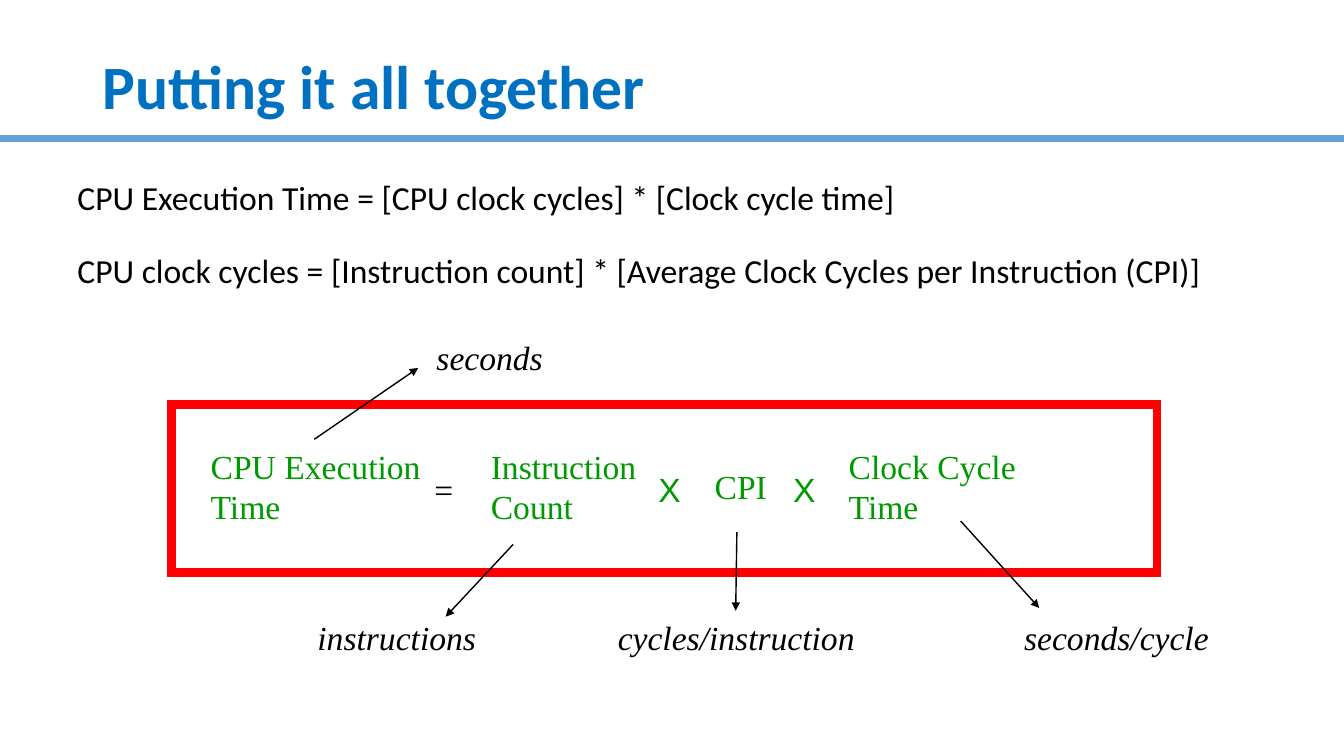
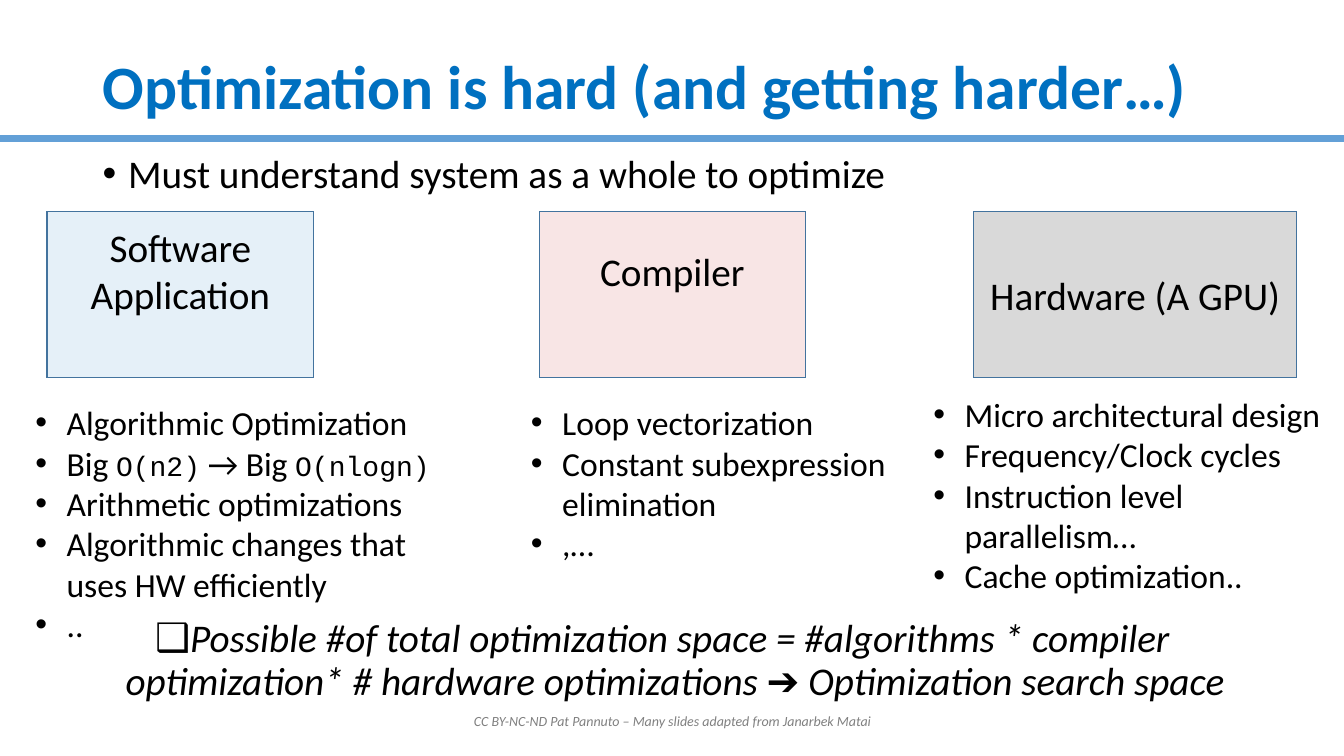
from lxml import etree as et
from pptx import Presentation, util as u
from pptx.dml import color
from pptx.enum import shapes, text
from pptx.oxml import ns

# Shared look
WIDE, HIGH = 33.87, 19.05
HUES = {
    "title": "0070C0", "band": "63A0D7", "ink": "000000", "term": "009900",
    "frame": "FF0000", "edge": "43739E", "note": "808080",
    "soft": "0070C0", "comp": "C00000", "hard": "D9D9D9",
}
FONTS = {
    "title": {"name": "Calibri", "size": u.Pt(44), "bold": True},
    "body": {"name": "Calibri", "size": u.Pt(24)},
    "big": {"name": "Calibri", "size": u.Pt(28)},
    "sum": {"name": "Calibri", "size": u.Pt(28), "italic": True},
    "code": {"name": "Courier New", "size": u.Pt(20)},
    "term": {"name": "Times New Roman", "size": u.Pt(24)},
    "unit": {"name": "Times New Roman", "size": u.Pt(24), "italic": True},
    "times": {"name": "Arial", "size": u.Pt(24)},
    "note": {"name": "Calibri", "size": u.Pt(10), "italic": True},
}
MID = {"alignment": text.PP_ALIGN.CENTER}
TIGHT = {"line_spacing": 0.9}
LEAD = {**TIGHT, "space_before": u.Pt(10)}
PADS = {"margin_left": u.Cm(0.33), "margin_right": u.Cm(0.33),
        "margin_top": u.Cm(0.16), "margin_bottom": u.Cm(0.16)}
CENTRE = {"vertical_anchor": text.MSO_ANCHOR.MIDDLE}


def apply(item, form):
    for key, val in form.items():
        setattr(item, key, val)


def hue(name):
    return color.RGBColor.from_string(HUES[name])


def node(home, tag, **attrs):
    return et.SubElement(home, ns.qn(tag), attrs)


# Text
def bullet(para, mark, hang):
    props = para._p.get_or_add_pPr()
    props.set("marL", str(u.Cm(hang)))
    props.set("indent", str(-u.Cm(hang)))
    node(props, "a:buFont", typeface="Arial")
    node(props, "a:buChar", char=mark)


def write(frame, lines, font, ink="ink", form=None, mark=None, hang=0.64):
    """A line is a string, or a list of (words, font) runs."""
    frame.word_wrap = True
    for num, line in enumerate(lines):
        para = frame.add_paragraph() if num else frame.paragraphs[0]
        apply(para, form or {})
        if mark:
            bullet(para, mark, hang)
        for words, kind in [(line, font)] if isinstance(line, str) else line:
            run = para.add_run()
            run.text = words
            apply(run.font, FONTS[kind])
            run.font.color.rgb = hue(ink)


def label(slide, box, lines, font, pads=None, **opts):
    frame = slide.shapes.add_textbox(*map(u.Cm, box)).text_frame
    apply(frame, pads or {})
    write(frame, lines, font, **opts)


# Shapes and lines
def block(slide, box, edge, width, fill=None, alpha=None):
    shape = slide.shapes.add_shape(shapes.MSO_SHAPE.RECTANGLE, *map(u.Cm, box))
    shape.shadow.inherit = False
    shape.line.color.rgb = hue(edge)
    shape.line.width = u.Pt(width)
    props = shape.element.spPr
    node(props.find(ns.qn("a:ln")), "a:miter", lim="800000")
    if fill:
        shape.fill.solid()
        shape.fill.fore_color.rgb = hue(fill)
    else:
        shape.fill.background()
    if alpha:
        tint = props.find(ns.qn("a:solidFill"))[0]
        node(tint, "a:alpha", val=str(alpha * 1000))
    return shape


def rule(slide, ends, ink="ink", width=1, arrow=True):
    line = slide.shapes.add_connector(shapes.MSO_CONNECTOR.STRAIGHT,
                                      *map(u.Cm, ends))
    line.line.color.rgb = hue(ink)
    line.line.width = u.Pt(width)
    props = line.element.spPr
    if arrow:
        node(props.find(ns.qn("a:ln")), "a:tailEnd", type="triangle")
    node(props, "a:effectLst")


def page(deck, title):
    slide = deck.slides.add_slide(deck.slide_layouts[6])
    rule(slide, (WIDE, 3.49, 0, 3.49), "band", 5, arrow=False)
    label(slide, (2.34, 1.02, 29.2, 2.49), [title], "title", CENTRE,
          ink="title", form=TIGHT)
    return slide


# Slide 1
def formula(deck):
    slide = page(deck, "Putting it all together")
    label(slide, (1.7, 4.45, 30.48, 4),
          ["CPU Execution Time = [CPU clock cycles] * [Clock cycle time]",
           "CPU clock cycles = [Instruction count] * "
           "[Average Clock Cycles per Instruction (CPI)]"],
          "body", form={**TIGHT, "space_after": u.Pt(26)})

    # Terms and signs: left, top, width, height
    parts = [
        ("CPU Execution Time", 4.98, 11.07, 5.97, 2.39, "term", "term"),
        ("Instruction Count", 12.04, 11.07, 4.5, 2.39, "term", "term"),
        ("CPI", 17.68, 11.58, 2.2, 1.35, "term", "term"),
        ("Clock Cycle Time", 21.06, 11.07, 5.97, 2.39, "term", "term"),
        ("=", 10.62, 11.66, 1.4, 1.35, "term", "ink"),
        ("X", 16.26, 11.66, 1.4, 1.35, "times", "term"),
        ("X", 19.66, 11.66, 1.4, 1.35, "times", "term"),
    ]
    for words, *box, font, ink in parts:
        label(slide, box, [words], font, PADS, ink=ink)
    block(slide, (4.32, 10.19, 24.84, 4.24), "frame", 6)

    # Units, each with its arrow
    units = [
        ("seconds", 10.67, 8.33, (7.92, 11.07, 10.54, 9.27)),
        ("instructions", 7.67, 15.39, (12.93, 13.72, 11.23, 15.54)),
        ("cycles/instruction", 15.24, 15.39, (18.57, 13.41, 18.54, 15.39)),
        ("seconds/cycle", 25.48, 15.39, (24.21, 13.13, 26.19, 15.32)),
    ]
    for words, left, top, ends in units:
        rule(slide, ends)
        label(slide, (left, top, 7, 1.35), [words], "unit", PADS)


# Slide 2
def layers(deck):
    slide = page(deck, "Optimization is hard (and getting harder…)")
    label(slide, (2.34, 3.76, 29.2, 1.5),
          ["Must understand system as a whole to optimize"],
          "big", form=LEAD, mark="•")

    # Name, left, width, fill, alpha, bottom inset, list box, list
    stack = [
        ("Software Application", 1.19, 6.71, "soft", 10, 1.33,
         (0.64, 10.01, 10.67, 6.4),
         ["Algorithmic Optimization",
          [("Big ", "body"), ("O(n2)", "code"),
           (" → Big ", "body"), ("O(nlogn)", "code")],
          "Arithmetic optimizations",
          "Algorithmic changes that uses HW efficiently", ".."]),
        ("Compiler", 13.59, 6.71, "comp", 10, 1.33,
         (13.13, 10.01, 10.13, 5.13),
         ["Loop vectorization", "Constant subexpression elimination", ",…"]),
        ("Hardware (A GPU)", 24.54, 8.13, "hard", None, 0.13,
         (23.27, 9.8, 10.6, 5.38),
         ["Micro architectural design", "Frequency/Clock cycles",
          "Instruction level parallelism…", "Cache optimization.."]),
    ]
    for name, left, width, fill, alpha, foot, box, lines in stack:
        shape = block(slide, (left, 5.33, width, 4.19), "edge", 1, fill, alpha)
        apply(shape.text_frame, {**CENTRE, "margin_bottom": u.Cm(foot)})
        write(shape.text_frame, [name], "big", form=MID)
        label(slide, box, lines, "body", mark="•", hang=0.79)

    # Summary, kept clear of the first list, and footer
    label(slide, (1.94, 15.47, 29.5, 2.9),
          ["Possible #of total optimization space = #algorithms * compiler "
           "optimization* # hardware optimizations ➔ "
           "Optimization search space"],
          "sum", form={**LEAD, **MID}, mark="❑")
    label(slide, (11.23, 17.65, 11.43, 1.02),
          ["CC BY-NC-ND Pat Pannuto – Many slides adapted from Janarbek Matai"],
          "note", CENTRE, ink="note", form=MID)


def main():
    deck = Presentation()
    deck.slide_width, deck.slide_height = u.Cm(WIDE), u.Cm(HIGH)
    formula(deck)
    layers(deck)
    deck.save("out.pptx")


if __name__ == "__main__":
    main()
